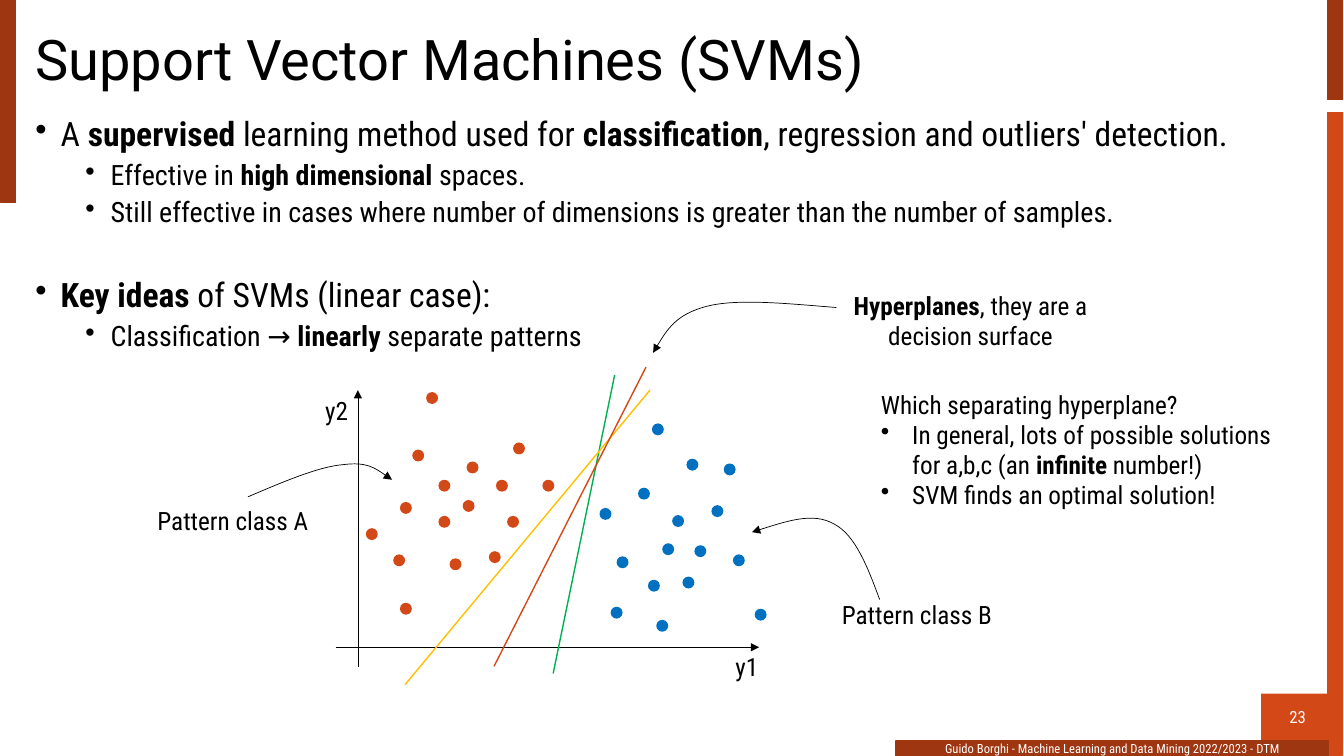
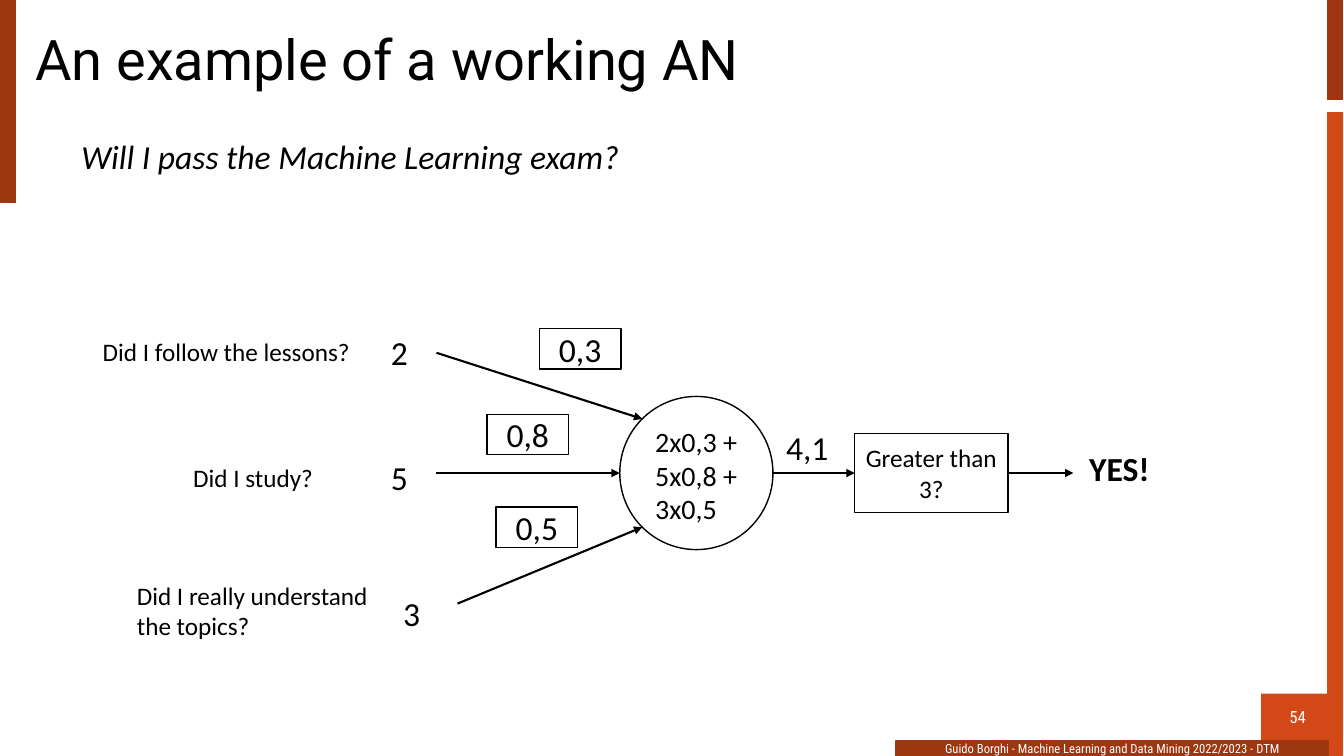
from lxml import etree
from pptx import Presentation
from pptx import util as u
from pptx.dml.color import RGBColor
from pptx.enum import shapes, text
from pptx.oxml import ns

COLORS = {
    "ink": "000000",
    "paper": "FFFFFF",
    "orange": "D34817",
    "rust": "9E3611",
    "blue": "0070C0",
    "green": "00B050",
    "yellow": "FFC000",
}
CONDENSED = {"name": "Roboto Condensed", "size": u.Pt(18)}
BODY = {**CONDENSED, "size": u.Pt(24)}
DETAIL = {**CONDENSED, "size": u.Pt(20)}
TITLE = {"name": "Roboto", "size": u.Pt(40)}
SMALL = {"name": "Calibri", "size": u.Pt(18)}
MEDIUM = {**SMALL, "size": u.Pt(20)}
LARGE = {**SMALL, "size": u.Pt(24)}
CENTER = text.PP_ALIGN.CENTER
MIDDLE = text.MSO_ANCHOR.MIDDLE
RECTANGLE = shapes.MSO_SHAPE.RECTANGLE
OVAL = shapes.MSO_SHAPE.OVAL
STRAIGHT = shapes.MSO_CONNECTOR.STRAIGHT


def write(shape, paragraphs, font, color="ink", align=None, anchor=None):
    frame = shape.text_frame
    frame.word_wrap = True
    frame.vertical_anchor = anchor
    for index, (content, layout) in enumerate(paragraphs):
        paragraph = frame.add_paragraph() if index else frame.paragraphs[0]
        properties = paragraph._p.get_or_add_pPr()
        if "hang" in layout:
            properties.set("marL", str(u.Cm(layout["margin"])))
            properties.set("indent", str(-u.Cm(layout["hang"])))
            bullet = etree.SubElement(properties, ns.qn("a:buChar"))
            bullet.set("char", "•")
        paragraph.alignment = align
        for name in ("level", "line_spacing", "space_before"):
            if name in layout:
                setattr(paragraph, name, layout[name])
        for part, words in enumerate(content.split("**")):
            if words:
                run = paragraph.add_run()
                run.text = words
                run.font.color.rgb = RGBColor.from_string(COLORS[color])
                run_format = {**font, **layout.get("font", {}), "bold": part % 2 == 1}
                for name, value in run_format.items():
                    setattr(run.font, name, value)


def paint(shape, fill=None, line=None, width=1, arrow=False):
    if hasattr(shape, "fill"):
        shape.shadow.inherit = False
        if fill:
            shape.fill.solid()
            shape.fill.fore_color.rgb = RGBColor.from_string(COLORS[fill])
        else:
            shape.fill.background()
    if line:
        shape.line.color.rgb = RGBColor.from_string(COLORS[line])
        shape.line.width = u.Pt(width)
    else:
        shape.line.fill.background()
    if arrow:
        outline = shape.element.find(".//" + ns.qn("a:ln"))
        etree.SubElement(outline, ns.qn("a:tailEnd")).set("type", "triangle")
    if not hasattr(shape, "fill"):
        etree.SubElement(shape.element.spPr, ns.qn("a:effectLst"))


deck = Presentation()
deck.slide_width, deck.slide_height = u.Cm(33.87), u.Cm(19.05)

bands = [
    ("orange", 33.46, 2.83, 0.38, 16.2),
    ("rust", 33.46, 0, 0.38, 2.51),
    ("rust", 0.02, 0, 0.38, 5.11),
]
footers = [
    ("orange", None, (31.78, 17.48, 1.85, 1.19), 12),
    ("rust", "rust", (22.58, 18.67, 10.9, 0.38), 9),
]
credit = "Guido Borghi - Machine Learning and Data Mining 2022/2023 - DTM"
for title, number in [("Support Vector Machines (SVMs)", "23"), ("An example of a working AN", "54")]:
    slide = deck.slides.add_slide(deck.slide_layouts[6])
    for color, *place in bands:
        band = slide.shapes.add_shape(RECTANGLE, *map(u.Cm, place))
        paint(band, color, color)
    for (fill, line, place, size), words in zip(footers, (number, credit)):
        footer = slide.shapes.add_shape(RECTANGLE, *map(u.Cm, place))
        paint(footer, fill, line)
        for side in ("left", "right", "top", "bottom"):
            setattr(footer.text_frame, "margin_" + side, 0)
        write(footer, [(words, {})], {**CONDENSED, "size": u.Pt(size)}, "paper", CENTER, MIDDLE)
    heading = slide.shapes.add_textbox(*map(u.Cm, (0.64, 0.61, 32.39, 1.91)))
    write(heading, [(title, {"line_spacing": 0.9})], TITLE, anchor=MIDDLE)

svm, neuron = deck.slides

point = {"margin": 0.64, "hang": 0.64, "line_spacing": 0.9}
detail = {
    "margin": 1.9, "hang": 0.64, "line_spacing": 0.9,
    "level": 1, "space_before": u.Pt(5), "font": DETAIL,
}
summary = svm.shapes.add_textbox(*map(u.Cm, (0.64, 2.84, 32.39, 14.33)))
write(summary, [
    ("A **supervised** learning method used for **classification**, regression and outliers' detection.", point),
    ("Effective in **high dimensional **spaces.", detail),
    ("Still effective in cases where number of dimensions is greater than the number of samples.", detail),
    ("**Key ideas **of SVMs (linear case):", {**point, "space_before": u.Pt(36)}),
    ("Classification → **linearly** separate patterns", detail),
], BODY)

plot = svm.shapes.add_group_shape()
axes = [(9.02, 16.81, 9.02, 9.83), (8.46, 16.31, 19.13, 16.31)]
for ends in axes:
    axis = plot.shapes.add_connector(STRAIGHT, *map(u.Cm, ends))
    paint(axis, line="ink", width=0.5, arrow=True)
for name, left, top in [("y1", 17.91, 16.28), ("y2", 7.57, 9.83)]:
    axis_name = plot.shapes.add_textbox(*map(u.Cm, (left, top, 1.83, 1.02)))
    write(axis_name, [(name, {})], CONDENSED, align=CENTER)

classes = {
    "orange": [
        (10.39, 11.33), (11.76, 11.63), (10.08, 12.65), (11.66, 12.6),
        (12.93, 11.15), (11.33, 14.07), (12.5, 12.09), (12.78, 13),
        (12.32, 13.89), (11.05, 13), (11.05, 12.09), (13.67, 12.09),
        (9.91, 13.97), (10.74, 9.88), (9.22, 13.31), (10.08, 15.19),
    ],
    "blue": [
        (18.47, 13.97), (17.2, 14.53), (17.93, 12.73), (16.69, 13.69),
        (16.54, 15.62), (16.08, 12.29), (16.33, 14.61), (15.54, 14.02),
        (15.11, 12.8), (16.94, 12.98), (17.5, 13.74), (15.39, 15.29),
        (17.3, 11.56), (19.02, 15.34), (18.24, 11.68), (16.43, 10.67),
    ],
}
for color, samples in classes.items():
    for left, top in samples:
        sample = plot.shapes.add_shape(OVAL, *map(u.Cm, (left, top, 0.3, 0.3)))
        paint(sample, color)

hyperplanes = {
    "green": (15.49, 9.45, 13.94, 16.97),
    "yellow": (16.38, 9.83, 10.21, 17.25),
    "orange": (16.28, 9.25, 12.45, 16.79),
}
for color, ends in hyperplanes.items():
    hyperplane = plot.shapes.add_connector(STRAIGHT, *map(u.Cm, ends))
    paint(hyperplane, line=color)

pointers = [
    [(21.08, 7.75), (19.84, 7.65), (18.57, 7.52), (17.81, 7.72), (17.04, 7.92), (16.74, 8.41), (16.46, 8.89)],
    [(6.25, 12.52), (7.14, 12.14), (8.03, 11.76), (8.64, 11.71), (9.25, 11.63), (9.55, 11.86), (9.88, 12.09)],
    [(22.17, 15.11), (21.87, 14.3), (21.56, 13.49), (21.03, 13.21), (20.5, 12.9), (19.74, 13.16), (18.95, 13.41)],
]
for controls in pointers:
    start, *rest = [(u.Cm(x), u.Cm(y)) for x, y in controls]
    outline = svm.shapes.build_freeform(*start)
    outline.add_line_segments(rest, close=False)
    pointer = outline.convert_to_shape()
    route = pointer.element.find(".//" + ns.qn("a:path"))
    segments = route.findall(ns.qn("a:lnTo"))
    for first in range(0, len(segments), 3):
        curve = etree.SubElement(route, ns.qn("a:cubicBezTo"))
        for segment in segments[first:first + 3]:
            curve.append(segment[0])
            route.remove(segment)
    paint(pointer, line="ink", width=0.5, arrow=True)

callouts = [
    ("**Hyperplanes**, they are a decision surface", 20.6, 7.19, 7.72, 1.8),
    ("Pattern class A", 3.56, 12.6, 4.62, 1.02),
    ("Pattern class B", 20.8, 14.99, 4.62, 1.02),
]
for words, *place in callouts:
    callout = svm.shapes.add_textbox(*map(u.Cm, place))
    write(callout, [(words, {})], CONDENSED, align=CENTER)

answer = {"margin": 0.79, "hang": 0.79}
choice = svm.shapes.add_textbox(*map(u.Cm, (21.95, 9.68, 10.36, 3.33)))
write(choice, [
    ("Which separating hyperplane?", {}),
    ("In general, lots of possible solutions for a,b,c (an **infinite** number!)", answer),
    ("SVM finds an optimal solution!", answer),
], CONDENSED)

center_x, center_y, radius = 17.55, 11.92, 1.93
diagonal = radius * 0.5 ** 0.5
cell = neuron.shapes.add_shape(
    OVAL, u.Cm(center_x - radius), u.Cm(center_y - radius), u.Cm(2 * radius), u.Cm(2 * radius))
paint(cell, line="ink")
threshold = neuron.shapes.add_shape(RECTANGLE, *map(u.Cm, (21.54, center_y - 1, 3.86, 2)))
paint(threshold, line="ink")
write(threshold, [("Greater than 3?", {})], SMALL, align=CENTER, anchor=MIDDLE)

flows = [
    (11, 8.89, center_x - diagonal, center_y - diagonal),
    (11, center_y, center_x - radius, center_y),
    (11.53, 15.21, center_x - diagonal, center_y + diagonal),
    (center_x + radius, center_y, 21.54, center_y),
    (25.4, center_y, 27.05, center_y),
]
arrows = [neuron.shapes.add_connector(STRAIGHT, *map(u.Cm, ends)) for ends in flows]
arrows[3].end_connect(threshold, 1)
arrows[4].begin_connect(threshold, 3)
for arrow in arrows:
    paint(arrow, line="ink", width=1.5, arrow=True)

for weight, left, top in [("0,3", 13.59, 8.28), ("0,8", 12.27, 10.44), ("0,5", 12.5, 12.78)]:
    weight_box = neuron.shapes.add_shape(RECTANGLE, *map(u.Cm, (left, top, 2.06, 1.02)))
    paint(weight_box, line="ink")
    write(weight_box, [(weight, {})], LARGE, align=CENTER, anchor=MIDDLE)

labels = [
    ("Will I pass the Machine Learning exam?", {**LARGE, "italic": True}, 1.8, 3.3, 19.13, 1.27),
    ("2", LARGE, 9.6, 8.23, 1.45, 1.27),
    ("5", LARGE, 9.6, 11.4, 1.45, 1.27),
    ("3", LARGE, 9.91, 14.81, 1.45, 1.27),
    ("Did I follow the lessons?", SMALL, 2.34, 8.36, 7.26, 1.02),
    ("Did I study?", SMALL, 4.62, 11.53, 4.42, 1.02),
    ("Did I really understand the topics?", SMALL, 3.2, 14.5, 6.83, 1.8),
    ("2x0,3 + 5x0,8 + 3x0,5", MEDIUM, 16.26, 10.57, 2.69, 2.82),
    ("4,1", LARGE, 19.56, 10.64, 2.21, 1.27),
    ("**YES!**", LARGE, 27.2, 11.15, 2.29, 1.27),
]
for words, font, *place in labels:
    label = neuron.shapes.add_textbox(*map(u.Cm, place))
    write(label, [(words, {})], font)

deck.save("out.pptx")
